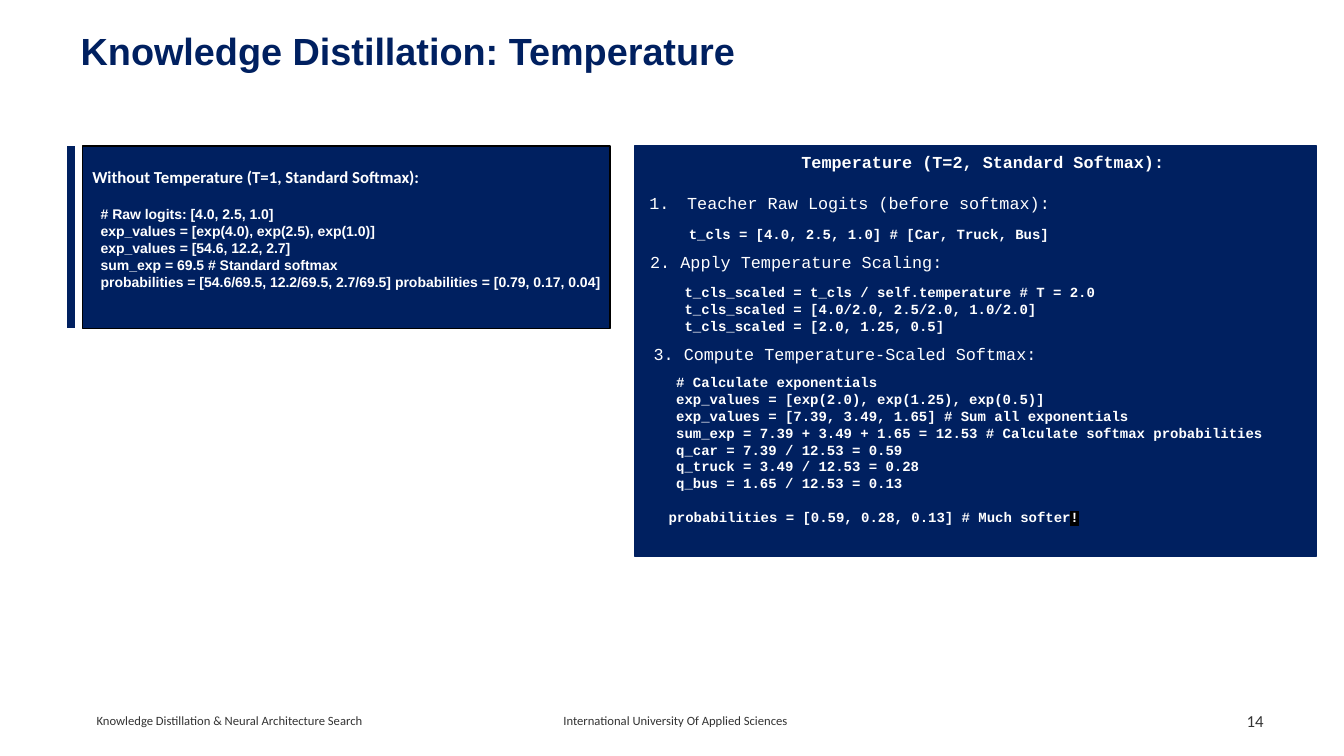
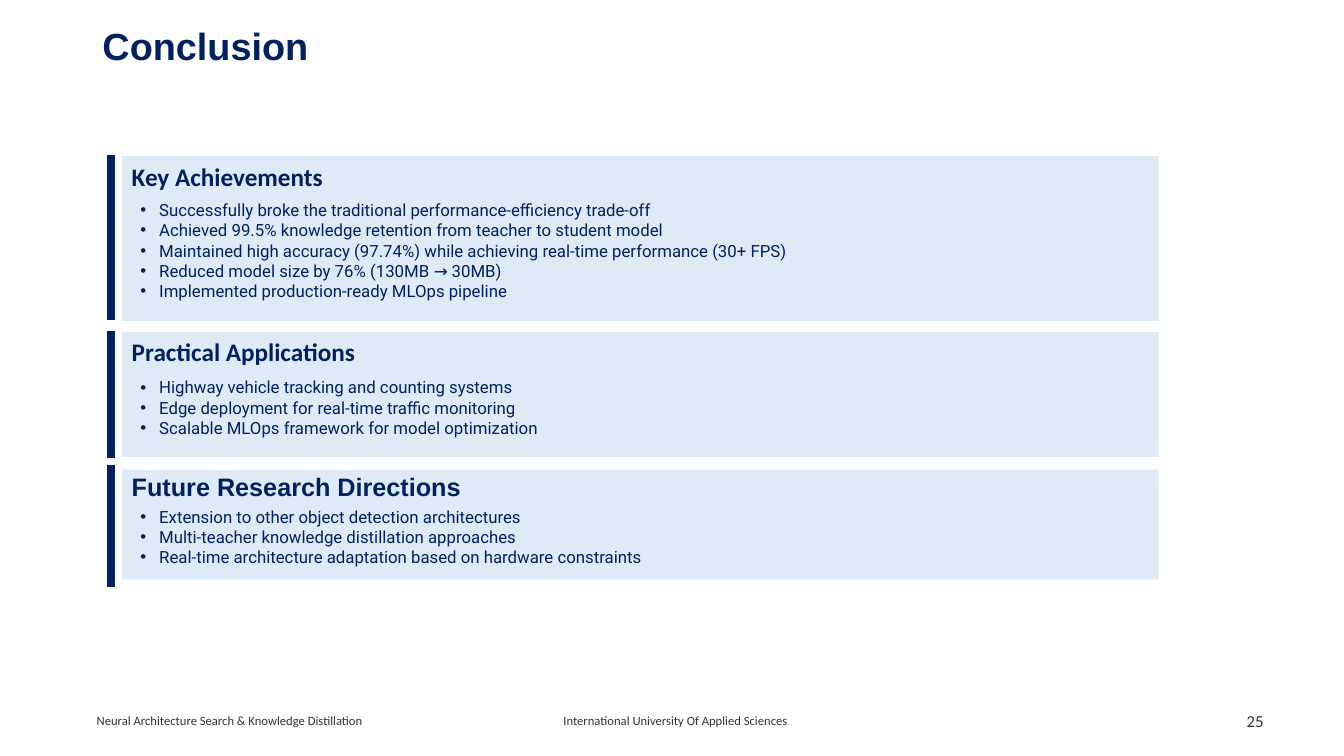
from dataclasses import dataclass

from lxml import etree
from pptx import Presentation, util as u
from pptx.dml.color import RGBColor
from pptx.enum import shapes, text
from pptx.oxml import ns


@dataclass(frozen=True)
class Theme:
    """Colours, fonts and type sizes of the deck."""
    navy: str = "002060"
    pale: str = "DEEBF7"
    white: str = "FFFFFF"
    black: str = "000000"
    grey: str = "333333"
    sans: str = "Arial"
    body: str = "Calibri"
    list: str = "Roboto"
    mono: str = "Courier New"
    title_size: float = 27
    head_size: float = 18
    text_size: float = 12
    code_size: float = 10
    foot_size: float = 9
    bar_width: float = 5.75


@dataclass(frozen=True)
class Box:
    """A region in grid cells, 160 columns by 90 rows."""
    x: float
    y: float
    w: float
    h: float

    def inner(self, dx, dy, h=4):
        """Return the region from an offset to the right edge."""
        return Box(self.x + dx, self.y + dy, self.w - dx, h)

    def emu(self):
        """Return left, top, width and height in slide units."""
        return [cells(v) for v in (self.x, self.y, self.w, self.h)]


T = Theme()
COLS, ROWS = 160, 90
WIDTH, HEIGHT = u.Inches(13.33), u.Inches(7.5)
FOOT_Y, FOOT_H = 83.4, 4.8


def cells(n):
    """Convert grid cells to slide units."""
    return u.Emu(round(n * HEIGHT / ROWS))


def child(parent, tag, **attrs):
    """Append a drawing element to its parent."""
    return etree.SubElement(parent, ns.qn(tag), attrs)


def style(p, font, size, colour, bold=False):
    """Set the font of a whole paragraph."""
    f = p.font
    f.name, f.size, f.bold = font, u.Pt(size), bold
    f.color.rgb = RGBColor.from_string(colour)


def hang(p, indent, tag, **attrs):
    """Give a paragraph a hanging bullet or number."""
    pPr = p._p.get_or_add_pPr()
    pPr.set("marL", str(cells(indent)))
    pPr.set("indent", str(-cells(indent)))
    child(pPr, tag, **attrs)


def fill_text(tf, lines, font, size, colour, bold=False, bullet=None,
              align=text.PP_ALIGN.LEFT, anchor=text.MSO_ANCHOR.TOP):
    """Write lines into a text frame in one style."""
    tf.word_wrap, tf.auto_size = True, text.MSO_AUTO_SIZE.NONE
    tf.vertical_anchor, tf.margin_right = anchor, 0
    for i, line in enumerate(lines):
        p = tf.add_paragraph() if i else tf.paragraphs[0]
        p.alignment, p.space_before = align, u.Pt(0)
        p.add_run().text = line
        if bullet:
            hang(p, **bullet)
        style(p, font, size, colour, bold)


def add_text(s, box, lines, *args, **kw):
    """Add a text box and return its frame."""
    tf = s.shapes.add_textbox(*box.emu()).text_frame
    fill_text(tf, lines, *args, **kw)
    return tf


def add_panel(s, box, fill, line=None):
    """Draw a flat rectangle."""
    sp = s.shapes.add_shape(shapes.MSO_SHAPE.RECTANGLE, *box.emu())
    sp.shadow.inherit = False
    sp.fill.solid()
    sp.fill.fore_color.rgb = RGBColor.from_string(fill)
    if line:
        sp.line.color.rgb = RGBColor.from_string(line)
        sp.line.width = u.Pt(1)
    else:
        sp.line.fill.background()


def add_bar(s, x, y, h):
    """Draw a thick vertical accent line."""
    c = s.shapes.add_connector(shapes.MSO_CONNECTOR.STRAIGHT, cells(x), cells(y),
                               cells(x), cells(y + h))
    c.line.color.rgb = RGBColor.from_string(T.navy)
    c.line.width = u.Pt(T.bar_width)
    child(c._element.spPr, "a:effectLst")


def place(ph, box):
    """Move a placeholder to a box, in front of the other parts."""
    ph.left, ph.top, ph.width, ph.height = box.emu()
    tree = ph._element.getparent()
    tree.append(ph._element)
    return ph.text_frame


def add_frame(prs, layout, title, box, topic, number):
    """Add a slide with its title and footers."""
    s = prs.slides.add_slide(prs.slide_layouts[layout])
    fill_text(place(s.shapes.title, box), [title], T.sans, T.title_size, T.navy, True,
              anchor=text.MSO_ANCHOR.MIDDLE)
    footers = [(3.8, 39.3, topic, T.foot_size),
               (63, 30.7, "International University Of Applied Sciences", T.foot_size),
               (144, 6.4, number, T.text_size)]
    for x, w, line, size in footers:
        add_text(s, Box(x, FOOT_Y, w, FOOT_H), [line], T.body, size, T.grey,
                 align=text.PP_ALIGN.RIGHT, anchor=text.MSO_ANCHOR.MIDDLE)
    return s


def add_plain_softmax(s, box):
    """Show the softmax without temperature."""
    add_panel(s, box, T.navy, T.black)
    add_bar(s, box.x - 1.4, box.y, box.h)
    add_text(s, box.inner(0, 1.8), ["Without Temperature (T=1, Standard Softmax):"],
             T.body, T.text_size, T.white, True)
    add_text(s, box.inner(1, 6.5, 11), [
        "# Raw logits: [4.0, 2.5, 1.0]",
        "exp_values = [exp(4.0), exp(2.5), exp(1.0)]",
        "exp_values = [54.6, 12.2, 2.7]",
        "sum_exp = 69.5 # Standard softmax",
        "probabilities = [54.6/69.5, 12.2/69.5, 2.7/69.5] probabilities = [0.79, 0.17, 0.04]",
    ], T.sans, T.code_size, T.white, True)


def add_result(s, box):
    """Write the final probabilities with a highlighted end."""
    tf = add_text(s, box, [], T.mono, T.code_size, T.white)
    p = tf.paragraphs[0]
    tabs = child(p._p.get_or_add_pPr(), "a:tabLst")
    child(tabs, "a:tab", pos=str(cells(50.8)), algn="l")
    style(p, T.mono, T.code_size, T.white, True)
    p.add_run().text = "probabilities = [0.59, 0.28, 0.13] # Much softer"
    r = p.add_run()
    r.text = "!\t"
    mark = child(r._r.get_or_add_rPr(), "a:highlight")
    child(mark, "a:srgbClr", val=T.black)


def add_scaled_softmax(s, box):
    """Show the three steps of the softmax with temperature."""
    add_panel(s, box, T.navy, T.navy)
    add_text(s, box.inner(18.7, 0.1), ["Temperature (T=2, Standard Softmax):"],
             T.mono, T.text_size, T.white, True)
    number = dict(indent=4.5, tag="a:buAutoNum", type="arabicPeriod")
    steps = [
        (0.6, 4.9, "Teacher Raw Logits (before softmax):", number, 5.3, 8.8,
         ["t_cls = [4.0, 2.5, 1.0] # [Car, Truck, Bus]"]),
        (0.7, 12, "2. Apply Temperature Scaling:", None, 4.8, 15.8,
         ["t_cls_scaled = t_cls / self.temperature # T = 2.0",
          "t_cls_scaled = [4.0/2.0, 2.5/2.0, 1.0/2.0]",
          "t_cls_scaled = [2.0, 1.25, 0.5]"]),
        (1.1, 22.9, "3. Compute Temperature-Scaled Softmax:", None, 3.8, 26.5,
         ["# Calculate exponentials",
          "exp_values = [exp(2.0), exp(1.25), exp(0.5)]",
          "exp_values = [7.39, 3.49, 1.65] # Sum all exponentials",
          "sum_exp = 7.39 + 3.49 + 1.65 = 12.53 # Calculate softmax probabilities",
          "q_car = 7.39 / 12.53 = 0.59",
          "q_truck = 3.49 / 12.53 = 0.28",
          "q_bus = 1.65 / 12.53 = 0.13"]),
    ]
    for dx, dy, head, bullet, code_dx, code_dy, code in steps:
        add_text(s, box.inner(dx, dy), [head], T.mono, T.text_size, T.white, bullet=bullet)
        add_text(s, box.inner(code_dx, code_dy, 1.2 + 2 * len(code)), code,
                 T.mono, T.code_size, T.white, True)
    add_result(s, box.inner(2.9, 42.5))


def add_section(s, ph, box, bar, head, font, head_dy, list_dy, items):
    """Place a pale panel with accent bar, heading and list."""
    add_panel(s, box, T.pale)
    add_bar(s, box.x - 1.3, box.y + bar[0], bar[1])
    add_text(s, box.inner(0, head_dy, 4.8), [head], font, T.head_size, T.navy, True)
    fill_text(place(ph, box.inner(1, list_dy, 1.2 + 2.4 * len(items))), items,
              T.list, T.text_size, T.navy,
              bullet=dict(indent=2.25, tag="a:buChar", char="•"))


def temperature_slide(prs):
    """Compare softmax without and with temperature."""
    s = add_frame(prs, 5, "Knowledge Distillation: Temperature", Box(8.4, 1.8, 138, 8.4),
                  "Knowledge Distillation & Neural Architecture Search", "14")
    add_plain_softmax(s, Box(9.8, 17.4, 62.8, 21.7))
    add_scaled_softmax(s, Box(75.5, 17.4, 81.2, 48.8))


def conclusion_slide(prs):
    """List achievements, applications and future research."""
    s = add_frame(prs, 4, "Conclusion", Box(11, 1.2, 138, 8.4),
                  "Neural Architecture Search & Knowledge Distillation", "25")
    sections = [
        (18.6, 19.6, (-0.2, 19.7), "Key Achievements", T.body, 0, 4.6, [
            "Successfully broke the traditional performance-efficiency trade-off",
            "Achieved 99.5% knowledge retention from teacher to student model",
            "Maintained high accuracy (97.74%) while achieving real-time performance (30+ FPS)",
            "Reduced model size by 76% (130MB → 30MB)",
            "Implemented production-ready MLOps pipeline"]),
        (39.5, 14.9, (-0.1, 15.1), "Practical Applications", T.body, 0, 4.8, [
            "Highway vehicle tracking and counting systems",
            "Edge deployment for real-time traffic monitoring",
            "Scalable MLOps framework for model optimization"]),
        (55.9, 13.1, (-0.5, 14.5), "Future Research Directions", T.sans, -0.4, 3.8, [
            "Extension to other object detection architectures",
            "Multi-teacher knowledge distillation approaches",
            "Real-time architecture adaptation based on hardware constraints"]),
    ]
    bodies = [ph for ph in s.placeholders if ph.placeholder_format.idx]
    for ph, (y, h, *parts) in zip(bodies, sections):
        add_section(s, ph, Box(14.5, y, 123.4, h), *parts)
    for ph in bodies[len(sections):]:
        ph._element.getparent().remove(ph._element)


def main():
    """Build and save the deck."""
    prs = Presentation()
    prs.slide_width, prs.slide_height = WIDTH, HEIGHT
    temperature_slide(prs)
    conclusion_slide(prs)
    prs.save("out.pptx")


if __name__ == "__main__":
    main()
